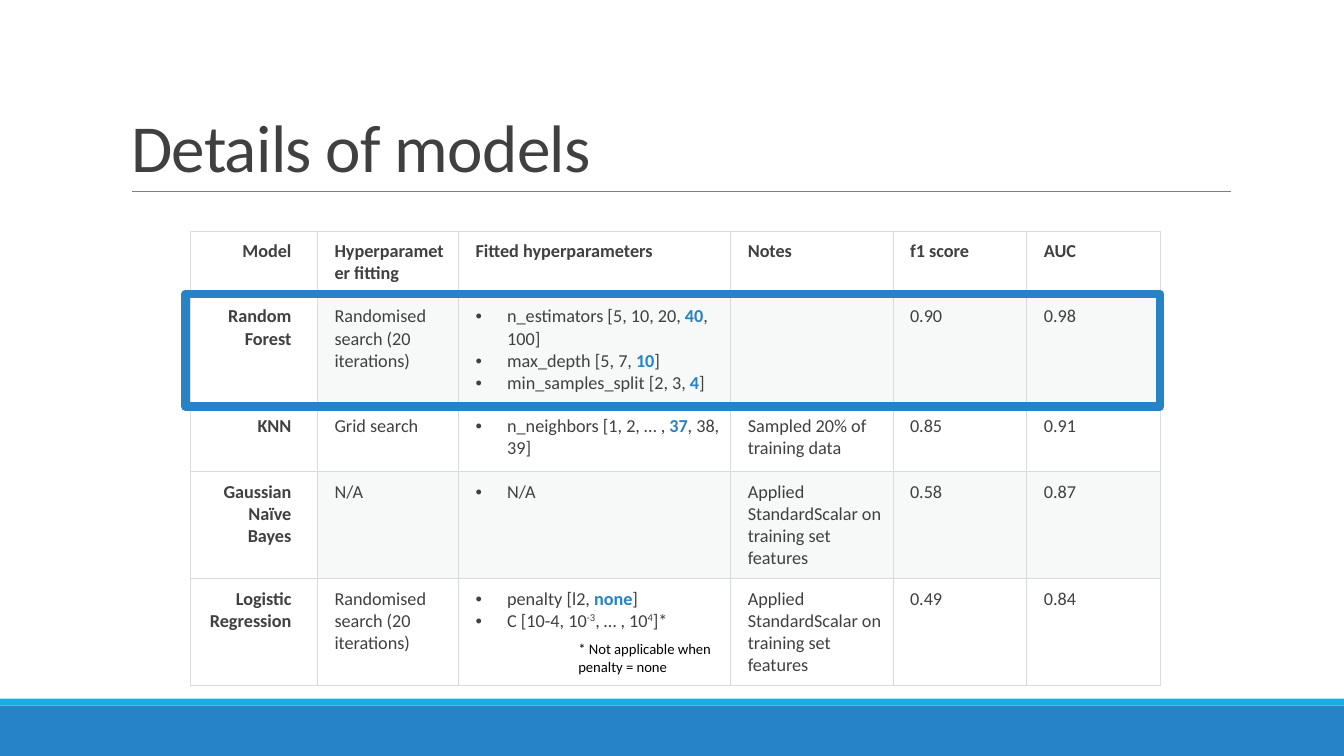
"""Build the slide that compares the details of four classification models."""
from dataclasses import dataclass

import lxml.etree
import pptx
import pptx.dml.color
import pptx.enum.shapes
import pptx.enum.text
import pptx.oxml
import pptx.oxml.ns
import pptx.util

Pt = pptx.util.Pt
qn = pptx.oxml.ns.qn
FONT = "Calibri"
INK, BLUE, CYAN, GRID, TINT = "404040", "2683C6", "1CADE4", "D8DCDC", "D8DEDC"


@dataclass(frozen=True)
class Run:
    text: str
    bold: bool = False
    color: str = INK
    raised: bool = False


@dataclass(frozen=True)
class Bar:
    top: float
    height: float
    color: str


@dataclass(frozen=True)
class Model:
    name: str
    fitting: str
    parameters: list[list[Run]]
    notes: str
    f1_score: str
    auc: str


def chosen(before: str, value: str, after: str) -> list[Run]:
    return [Run(before), Run(value, True, BLUE), Run(after)]


SEARCH = "Randomised search (20 iterations)"
SCALED = "Applied StandardScalar on training set features"
HEADINGS = ["Model", "Hyperparameter fitting", "Fitted hyperparameters", "Notes", "f1 score", "AUC"]
MODELS = [
    Model("Random Forest", SEARCH, [
        chosen("n_estimators [5, 10, 20, ", "40", ", 100]"),
        chosen("max_depth [5, 7, ", "10", "]"),
        chosen("min_samples_split [2, 3, ", "4", "]"),
    ], "", "0.90", "0.98"),
    Model("KNN", "Grid search", [chosen("n_neighbors [1, 2, … , ", "37", ", 38, 39]")],
          "Sampled 20% of training data", "0.85", "0.91"),
    Model("Gaussian Naïve Bayes", "N/A", [[Run("N/A")]], SCALED, "0.58", "0.87"),
    Model("Logistic Regression", SEARCH, [
        chosen("penalty [l2, ", "none", "]"),
        [Run("C [10-4, 10"), Run("-3", raised=True), Run(", … , 10"), Run("4", raised=True), Run("]*")],
    ], SCALED, "0.49", "0.84"),
]
BARS = [Bar(504, 36, BLUE), Bar(499, 5, CYAN)]
COLUMN_WIDTHS = [90.7, 100.8, 194.4, 115.9, 95.6, 95.6]
ROW_HEIGHTS = [46.8, 78.5, 46.8, 75.6, 75.6]


def rgb(color: str) -> pptx.dml.color.RGBColor:
    return pptx.dml.color.RGBColor.from_string(color)


def add_run(paragraph, run: Run, size: float):
    piece = paragraph.add_run()
    piece.text = run.text
    piece.font.name = FONT
    piece.font.size = Pt(size)
    piece.font.bold = run.bold
    piece.font.color.rgb = rgb(run.color)
    if run.raised:
        piece.font._element.set("baseline", "30000")
    return piece


def add_bullet(paragraph) -> None:
    properties = paragraph._p.get_or_add_pPr()
    properties.set("marL", str(Pt(22.5)))
    properties.set("indent", str(-Pt(22.5)))
    lxml.etree.SubElement(properties, qn("a:buFont"), typeface="Arial")
    lxml.etree.SubElement(properties, qn("a:buChar"), char="•")


def add_borders(cell) -> None:
    properties = cell._tc.get_or_add_tcPr()
    for side in ("lnL", "lnR", "lnT", "lnB"):
        edge = lxml.etree.SubElement(properties, qn(f"a:{side}"), w=str(Pt(0.75)))
        fill = lxml.etree.SubElement(edge, qn("a:solidFill"))
        lxml.etree.SubElement(fill, qn("a:srgbClr"), val=GRID)


def fill_cell(cell, lines: list[list[Run]], name_column: bool, bulleted: bool, tinted: bool) -> None:
    cell.margin_left = Pt(12.2)
    cell.margin_right = Pt(18.7 if name_column else 6)
    cell.margin_top = cell.margin_bottom = Pt(6.5)
    add_borders(cell)
    if tinted:
        cell.fill.solid()
        cell.fill.fore_color.rgb = rgb(TINT)
        tint = cell._tc.tcPr.find(f"{qn('a:solidFill')}/{qn('a:srgbClr')}")
        lxml.etree.SubElement(tint, qn("a:alpha"), val="20000")
    else:
        cell.fill.background()
    for index, runs in enumerate(lines):
        frame = cell.text_frame
        paragraph = frame.paragraphs[0] if index == 0 else frame.add_paragraph()
        if name_column:
            paragraph.alignment = pptx.enum.text.PP_ALIGN.RIGHT
        if bulleted:
            add_bullet(paragraph)
        for run in runs:
            add_run(paragraph, run, 13)


def add_title(slide) -> None:
    title = slide.shapes.title
    title.left, title.top, title.width, title.height = Pt(86.4), Pt(22.5), Pt(792), Pt(114.3)
    frame = title.text_frame
    frame.word_wrap = True
    frame.auto_size = pptx.enum.text.MSO_AUTO_SIZE.NONE
    frame.vertical_anchor = pptx.enum.text.MSO_ANCHOR.BOTTOM
    paragraph = frame.paragraphs[0]
    paragraph.alignment = pptx.enum.text.PP_ALIGN.LEFT
    paragraph.line_spacing = 0.85
    heading = add_run(paragraph, Run("Details of models"), 48)
    heading.font._element.set("spc", "-50")


def add_title_rule(slide) -> None:
    rule = slide.shapes.add_connector(
        pptx.enum.shapes.MSO_CONNECTOR.STRAIGHT, Pt(94.3), Pt(136.8), Pt(879), Pt(136.8))
    rule.line.color.rgb = rgb("808080")
    rule.line.width = Pt(0.5)
    lxml.etree.SubElement(rule._element.spPr, qn("a:effectLst"))


def add_rectangle(slide, left: float, top: float, width: float, height: float):
    rectangle = slide.shapes.add_shape(
        pptx.enum.shapes.MSO_SHAPE.RECTANGLE, Pt(left), Pt(top), Pt(width), Pt(height))
    rectangle.shadow.inherit = False
    return rectangle


def add_bar(slide, bar: Bar) -> None:
    stripe = add_rectangle(slide, 0, bar.top, 960, bar.height)
    stripe.fill.solid()
    stripe.fill.fore_color.rgb = rgb(bar.color)
    stripe.line.fill.background()


def add_models(slide) -> None:
    table = slide.shapes.add_table(
        len(ROW_HEIGHTS), len(COLUMN_WIDTHS), Pt(136.1), Pt(165),
        Pt(sum(COLUMN_WIDTHS)), Pt(sum(ROW_HEIGHTS))).table
    table.horz_banding = False
    for column, width in zip(table.columns, COLUMN_WIDTHS):
        column.width = Pt(width)
    for row, height in zip(table.rows, ROW_HEIGHTS):
        row.height = Pt(height)
    for column, heading in enumerate(HEADINGS):
        fill_cell(table.cell(0, column), [[Run(heading, True)]], column == 0, False, False)
    for row, model in enumerate(MODELS, start=1):
        entries = [[[Run(model.name, True)]], [[Run(model.fitting)]], model.parameters,
                   [[Run(model.notes)]] if model.notes else [],
                   [[Run(model.f1_score)]], [[Run(model.auc)]]]
        for column, lines in enumerate(entries):
            fill_cell(table.cell(row, column), lines, column == 0, column == 2,
                      row % 2 == 1 and column > 0)


def add_highlight(slide) -> None:
    highlight = add_rectangle(slide, 132.5, 209.8, 696.2, 80.6)
    highlight.fill.background()
    highlight.line.color.rgb = rgb(BLUE)
    highlight.line.width = Pt(6)
    lxml.etree.SubElement(highlight._element.spPr.find(qn("a:ln")), qn("a:round"))


def add_footnote(slide) -> None:
    frame = slide.shapes.add_textbox(Pt(406), Pt(453.6), Pt(109.4), Pt(32.4)).text_frame
    frame.word_wrap = True
    add_run(frame.paragraphs[0], Run("* Not applicable when penalty = none", color="000000"), 10.5)


def main() -> None:
    deck = pptx.Presentation()
    deck.slide_width, deck.slide_height = Pt(960), Pt(540)
    slide = deck.slides.add_slide(deck.slide_layouts[5])
    for bar in BARS:
        add_bar(slide, bar)
    add_title_rule(slide)
    add_title(slide)
    add_models(slide)
    add_highlight(slide)
    add_footnote(slide)
    deck.save("out.pptx")


if __name__ == "__main__":
    main()
